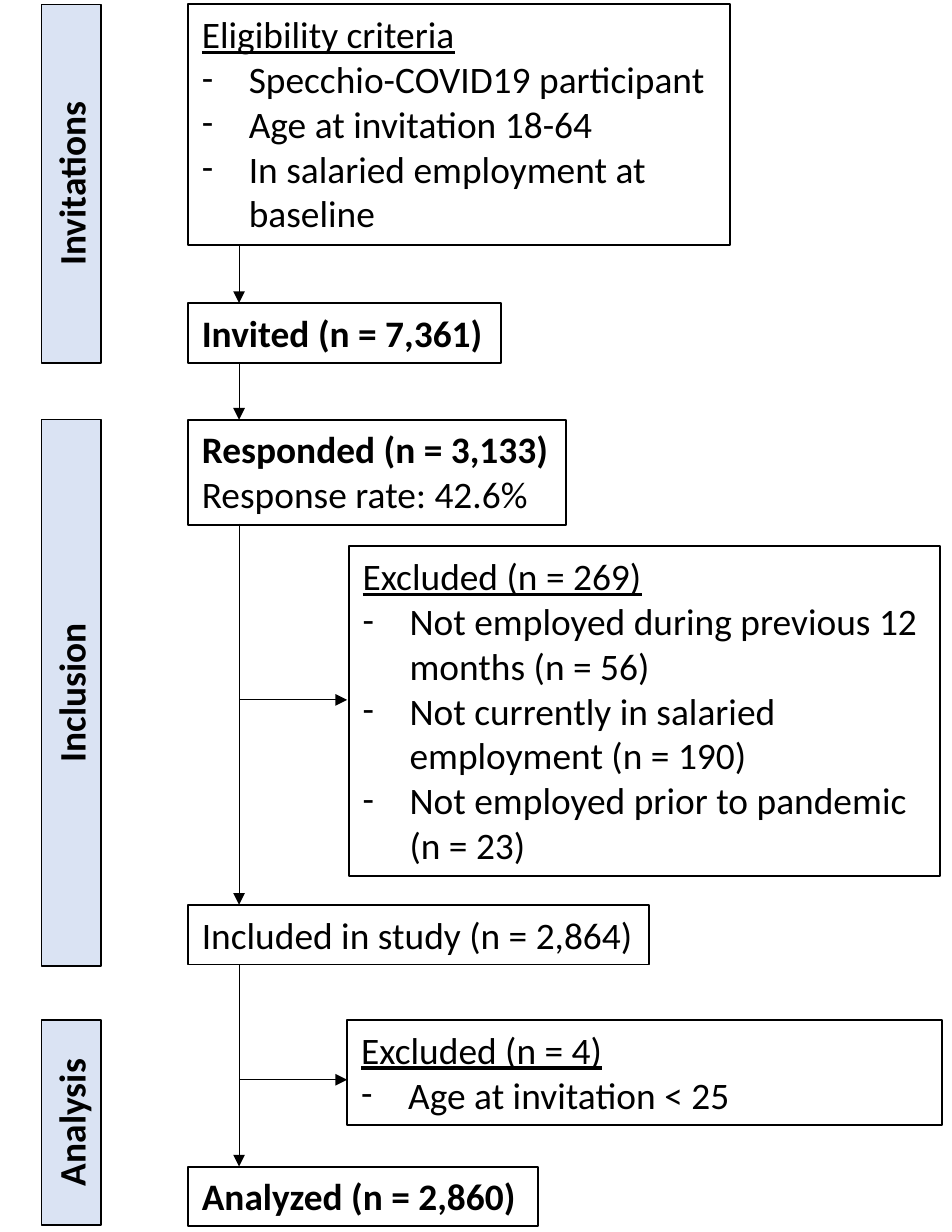
"""Build a participant flow diagram from invitation to analysis."""
from dataclasses import dataclass

import pptx
import pptx.dml.color
import pptx.enum.shapes
import pptx.enum.text
import pptx.oxml.ns
import pptx.shapes.autoshape
import pptx.slide
import pptx.text.text
import pptx.util
from lxml import etree

Inches = pptx.util.Inches
BLACK = pptx.dml.color.RGBColor(0x00, 0x00, 0x00)
WHITE = pptx.dml.color.RGBColor(0xFF, 0xFF, 0xFF)
PALE_BLUE = pptx.dml.color.RGBColor(0xDA, 0xE3, 0xF3)
FONT_NAME = "Calibri"
FONT_SIZE = pptx.util.Pt(18.9)
ROW_HEIGHT = 0.42
STAGE_CENTER = 0.5
MAIN_LEFT = 1.32
FLOW_X = 1.68
SIDE_LEFT = 2.44
HANGING = 0.33


@dataclass(frozen=True)
class Line:
    text: str
    bold: bool = False
    underline: bool = False
    bullet: bool = False
    centered: bool = False


@dataclass(frozen=True)
class Step:
    left: float
    top: float
    width: float
    height: float
    lines: tuple[Line, ...]


@dataclass(frozen=True)
class Stage:
    name: str
    top: float
    length: float


@dataclass(frozen=True)
class Arrow:
    start: tuple[float, float]
    end: tuple[float, float]


def listing(heading: str, *items: str) -> tuple[Line, ...]:
    return (Line(heading, underline=True), *(Line(item, bullet=True) for item in items))


STAGES = (
    Stage("Invitations", 0.03, 2.52),
    Stage("Inclusion", 2.95, 3.84),
    Stage("Analysis", 7.17, 1.44),
)
STEPS = (
    Step(MAIN_LEFT, 0.03, 3.81, 1.69, listing(
        "Eligibility criteria",
        "Specchio-COVID19 participant",
        "Age at invitation 18-64",
        "In salaried employment at baseline")),
    Step(MAIN_LEFT, 2.13, 2.2, ROW_HEIGHT, (Line("Invited (n = 7,361)", bold=True),)),
    Step(MAIN_LEFT, 2.95, 2.66, 0.74, (
        Line("Responded (n = 3,133)", bold=True),
        Line("Response rate: 42.6%"))),
    Step(2.45, 3.84, 4.16, 2.32, listing(
        "Excluded (n = 269)",
        "Not employed during previous 12 months (n = 56)",
        "Not currently in salaried employment (n = 190)",
        "Not employed prior to pandemic (n = 23)")),
    Step(MAIN_LEFT, 6.36, 3.24, ROW_HEIGHT, (Line("Included in study (n = 2,864)"),)),
    Step(SIDE_LEFT, 7.17, 4.18, 0.74, listing(
        "Excluded (n = 4)", "Age at invitation < 25")),
    Step(MAIN_LEFT, 8.2, 2.46, ROW_HEIGHT, (Line("Analyzed (n = 2,860)", bold=True),)),
)
FLOW_SPANS = ((1.73, 2.13), (2.56, 2.95), (3.68, 6.36), (6.78, 8.2))
EXCLUSION_LEVELS = (4.92, 7.59)
ARROWS = (
    *(Arrow((FLOW_X, top), (FLOW_X, bottom)) for top, bottom in FLOW_SPANS),
    *(Arrow((FLOW_X, level), (SIDE_LEFT, level)) for level in EXCLUSION_LEVELS),
)


def write_line(paragraph: pptx.text.text._Paragraph, line: Line) -> None:
    paragraph.text = line.text
    paragraph.alignment = (pptx.enum.text.PP_ALIGN.CENTER if line.centered
                           else pptx.enum.text.PP_ALIGN.LEFT)
    if line.bullet:
        properties = paragraph._p.get_or_add_pPr()
        properties.set("marL", str(Inches(HANGING)))
        properties.set("indent", str(-Inches(HANGING)))
        etree.SubElement(properties, pptx.oxml.ns.qn("a:buFont"), typeface=FONT_NAME)
        etree.SubElement(properties, pptx.oxml.ns.qn("a:buChar"), char="-")
    font = paragraph.runs[0].font
    font.name = FONT_NAME
    font.size = FONT_SIZE
    font.bold = line.bold
    font.underline = line.underline
    font.color.rgb = BLACK


def draw_box(slide: pptx.slide.Slide, step: Step, fill: pptx.dml.color.RGBColor,
             outline: float) -> pptx.shapes.autoshape.Shape:
    box = slide.shapes.add_shape(
        pptx.enum.shapes.MSO_SHAPE.RECTANGLE,
        Inches(step.left), Inches(step.top), Inches(step.width), Inches(step.height))
    box.shadow.inherit = False
    box.fill.solid()
    box.fill.fore_color.rgb = fill
    box.line.color.rgb = BLACK
    box.line.width = pptx.util.Pt(outline)
    frame = box.text_frame
    frame.word_wrap = True
    frame.auto_size = pptx.enum.text.MSO_AUTO_SIZE.SHAPE_TO_FIT_TEXT
    frame.vertical_anchor = pptx.enum.text.MSO_ANCHOR.TOP
    frame.text = "\n".join(line.text for line in step.lines)
    for paragraph, line in zip(frame.paragraphs, step.lines):
        write_line(paragraph, line)
    return box


def draw_stage(slide: pptx.slide.Slide, stage: Stage) -> None:
    label = Step(
        STAGE_CENTER - stage.length / 2,
        stage.top + (stage.length - ROW_HEIGHT) / 2,
        stage.length, ROW_HEIGHT,
        (Line(stage.name, bold=True, centered=True),))
    draw_box(slide, label, PALE_BLUE, 0.75).rotation = 270


def draw_arrow(slide: pptx.slide.Slide, arrow: Arrow) -> None:
    connector = slide.shapes.add_connector(
        pptx.enum.shapes.MSO_CONNECTOR.STRAIGHT,
        *(Inches(value) for value in (*arrow.start, *arrow.end)))
    connector.line.color.rgb = BLACK
    connector.line.width = pptx.util.Pt(0.5)
    etree.SubElement(connector.line._get_or_add_ln(),
                     pptx.oxml.ns.qn("a:tailEnd"), type="triangle")
    etree.SubElement(connector._element.spPr, pptx.oxml.ns.qn("a:effectLst"))


def main() -> None:
    presentation = pptx.Presentation()
    presentation.slide_width = Inches(6.69)
    presentation.slide_height = Inches(8.66)
    slide = presentation.slides.add_slide(presentation.slide_layouts[6])
    for stage in STAGES:
        draw_stage(slide, stage)
    for step in STEPS:
        draw_box(slide, step, WHITE, 1)
    for arrow in ARROWS:
        draw_arrow(slide, arrow)
    presentation.save("out.pptx")


if __name__ == "__main__":
    main()
